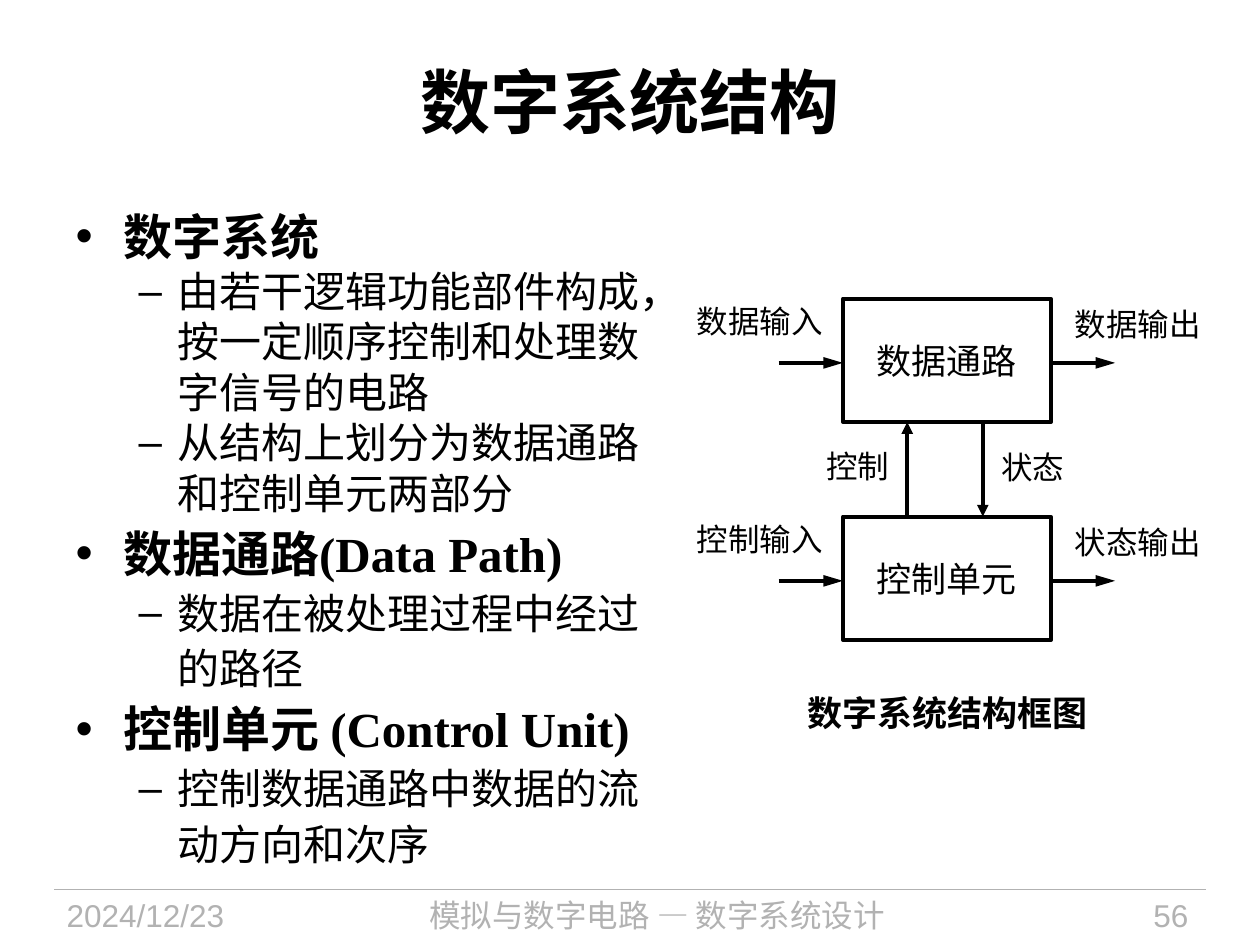
from dataclasses import dataclass

from pptx import Presentation
from pptx.dml.color import RGBColor
from pptx.enum.shapes import MSO_CONNECTOR, MSO_SHAPE
from pptx.enum.text import MSO_ANCHOR, MSO_AUTO_SIZE, PP_ALIGN
from pptx.oxml.ns import qn
from pptx.util import Inches, Pt
from lxml.etree import SubElement


@dataclass(frozen=True)
class Theme:
    ink: RGBColor = RGBColor(0, 0, 0)
    muted: RGBColor = RGBColor(0xB2, 0xB2, 0xB2)
    serif: str = "Times New Roman"
    sans: str = "Arial"
    chinese: str = "Noto Sans CJK SC"
    title: int = 40
    heading: int = 28
    detail: int = 24
    block: int = 20
    label: int = 18
    rule: float = 0.75
    stroke: float = 2.25


THEME = Theme()

OUTLINE = [
    (0, "数字系统", 1.0),
    (1, "由若干逻辑功能部件构成，按一定顺序控制和处理数字信号的电路", 1.0),
    (1, "从结构上划分为数据通路和控制单元两部分", 1.0),
    (0, "数据通路(Data Path)", 1.1),
    (1, "数据在被处理过程中经过的路径", 1.1),
    (0, "控制单元 (Control Unit)", 1.1),
    (1, "控制数据通路中数据的流动方向和次序", 1.1),
]
INDENTS = [(0.38, -0.38), (0.81, -0.31)]

BLOCK_LEFT, BLOCK_WIDTH, BLOCK_HEIGHT = 6.69, 1.65, 0.98
ARROW_LENGTH = 0.51
BLOCKS = [
    (2.37, "数据通路", "数据输入", "数据输出"),
    (4.10, "控制单元", "控制输入", "状态输出"),
]


def write(paragraph, text, size=THEME.label, font=THEME.serif, color=THEME.ink,
          bold=False, align=None):
    run = paragraph.add_run()
    run.text = text
    run.font.size = Pt(size)
    run.font.name = font
    run.font.bold = bold
    run.font.color.rgb = color
    if align is not None:
        paragraph.alignment = align


def place(shape, left, top, width, height):
    shape.left, shape.top = Inches(left), Inches(top)
    shape.width, shape.height = Inches(width), Inches(height)


def add_text(slide, box, text, wrap=False, **format):
    shape = slide.shapes.add_textbox(*map(Inches, box))
    frame = shape.text_frame
    frame.word_wrap = wrap
    frame.auto_size = MSO_AUTO_SIZE.NONE if wrap else MSO_AUTO_SIZE.SHAPE_TO_FIT_TEXT
    write(frame.paragraphs[0], text, **format)


def add_line(slide, start, end, color=THEME.ink, width=THEME.stroke, head_length=None):
    connector = slide.shapes.add_connector(
        MSO_CONNECTOR.STRAIGHT, *map(Inches, (*start, *end)))
    connector.line.color.rgb = color
    connector.line.width = Pt(width)
    if head_length:
        SubElement(connector.line._get_or_add_ln(), qn("a:tailEnd"),
                   type="triangle", w="med", len=head_length)
    SubElement(connector._element.spPr, qn("a:effectLst"))


def add_block(slide, top, text):
    shape = slide.shapes.add_shape(
        MSO_SHAPE.RECTANGLE, *map(Inches, (BLOCK_LEFT, top, BLOCK_WIDTH, BLOCK_HEIGHT)))
    shape.shadow.inherit = False
    shape.fill.background()
    shape.line.color.rgb = THEME.ink
    shape.line.width = Pt(THEME.stroke)
    frame = shape.text_frame
    frame.word_wrap = False
    frame.vertical_anchor = MSO_ANCHOR.MIDDLE
    frame.margin_left = frame.margin_right = frame.margin_top = frame.margin_bottom = 0
    write(frame.paragraphs[0], text, size=THEME.block, align=PP_ALIGN.CENTER)


def add_title(slide, text):
    title = slide.shapes.title
    place(title, 0.5, 0.17, 9, 1.25)
    title.text_frame.vertical_anchor = MSO_ANCHOR.MIDDLE
    write(title.text_frame.paragraphs[0], text, size=THEME.title, bold=True,
          align=PP_ALIGN.CENTER)


def add_outline(slide):
    body = slide.placeholders[1]
    place(body, 0.5, 1.59, 4.78, 5.39)
    frame = body.text_frame
    frame.auto_size = MSO_AUTO_SIZE.NONE
    for index, (level, text, spacing) in enumerate(OUTLINE):
        paragraph = frame.add_paragraph() if index else frame.paragraphs[0]
        paragraph.level = level
        paragraph.line_spacing = spacing
        paragraph.space_before = paragraph.space_after = Pt(0)
        margin, indent = INDENTS[level]
        properties = paragraph._p.get_or_add_pPr()
        properties.set("marL", str(Inches(margin)))
        properties.set("indent", str(Inches(indent)))
        write(paragraph, text, size=THEME.detail if level else THEME.heading,
              bold=level == 0)


def add_diagram(slide):
    right = BLOCK_LEFT + BLOCK_WIDTH
    for top, name, source, target in BLOCKS:
        middle = top + 0.51
        add_block(slide, top, name)
        add_line(slide, (BLOCK_LEFT - ARROW_LENGTH, middle), (BLOCK_LEFT, middle),
                 head_length="lg")
        add_line(slide, (right, middle), (right + ARROW_LENGTH, middle), head_length="lg")
        add_text(slide, (5.43, top - 0.02, 1.2, 0.4), source)
        add_text(slide, (8.43, top, 1.2, 0.4), target)
    upper, lower = BLOCKS[0][0] + BLOCK_HEIGHT, BLOCKS[1][0]
    add_line(slide, (7.2, lower), (7.2, upper), head_length="med")
    add_line(slide, (7.8, upper), (7.8, lower), head_length="med")
    add_text(slide, (6.46, 3.5, 0.7, 0.4), "控制")
    add_text(slide, (7.85, 3.51, 0.7, 0.4), "状态")
    add_text(slide, (6.3, 5.44, 2.44, 0.43), "数字系统结构框图", size=THEME.block,
             font=THEME.sans, bold=True, align=PP_ALIGN.CENTER)


def add_footer(slide):
    top, height = 7.06, 0.44
    add_line(slide, (0.43, top), (9.57, top), color=THEME.muted, width=THEME.rule)
    for left, width, text, font, align in [
        (0.43, 1.88, "2024/12/23", THEME.sans, PP_ALIGN.LEFT),
        (2.4, 5.63, "模拟与数字电路 — 数字系统设计", THEME.chinese, PP_ALIGN.CENTER),
        (8.2, 1.33, "56", THEME.sans, PP_ALIGN.RIGHT),
    ]:
        add_text(slide, (left, top, width, height), text, wrap=True, font=font,
                 color=THEME.muted, align=align)


def main():
    presentation = Presentation()
    presentation.slide_width, presentation.slide_height = Inches(10), Inches(7.5)
    slide = presentation.slides.add_slide(presentation.slide_layouts[1])
    add_footer(slide)
    add_title(slide, "数字系统结构")
    add_outline(slide)
    add_diagram(slide)
    presentation.save("out.pptx")


if __name__ == "__main__":
    main()
